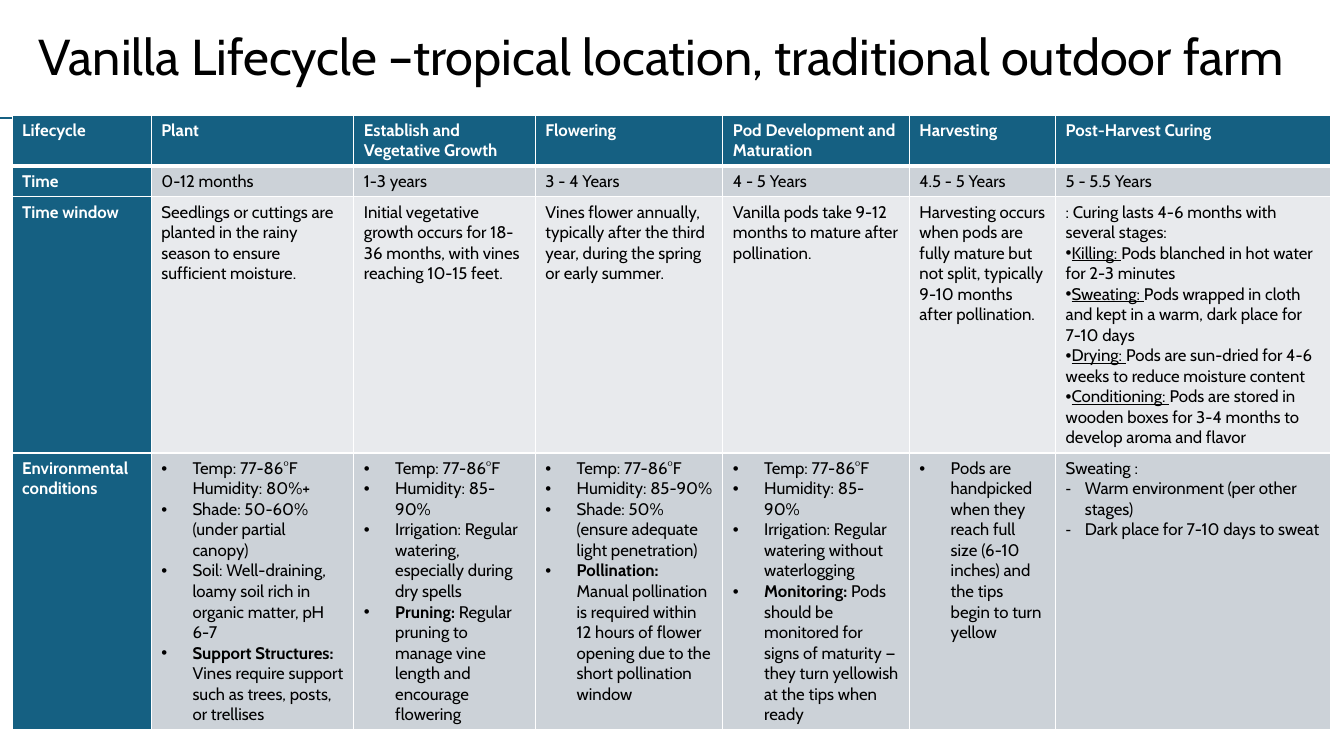
from dataclasses import dataclass
from lxml.etree import SubElement
from pptx import Presentation
from pptx.dml.color import RGBColor
from pptx.enum.shapes import MSO_CONNECTOR
from pptx.enum.text import MSO_ANCHOR, MSO_AUTO_SIZE, PP_ALIGN
from pptx.oxml.ns import qn
from pptx.util import Inches, Pt

HUES = {"teal": "156082", "dark": "CCD2D8", "light": "E8EAED", "white": "FFFFFF", "black": "000000"}
FONT = "Cabin"


@dataclass
class Item:
    text: str
    lead: str = ""
    mark: str = ""
    dent: float = 0
    bold: bool = False
    line: bool = False


@dataclass
class Row:
    height: float
    fill: str
    head: str
    cells: list


def dot(text: str, lead: str = "") -> Item:
    return Item(text, lead, "•", 0.31, bold=True)


def stage(lead: str, text: str) -> Item:
    return Item(text, lead, "•", line=True)


def dash(text: str) -> Item:
    return Item(text, mark="-", dent=0.19)


WIDTHS = [1.38, 2.01, 1.8, 1.86, 1.85, 1.45, 2.73]
ROWS = [
    Row(0.45, "teal", "Lifecycle", [
        "Plant", "Establish and Vegetative Growth", "Flowering",
        "Pod Development and Maturation", "Harvesting", "Post-Harvest Curing"]),
    Row(0.27, "dark", "Time", [
        "0-12 months", "1-3 years", "3 - 4 Years", "4 - 5 Years", "4.5 - 5 Years", "5 - 5.5 Years"]),
    Row(2.26, "light", "Time window", [
        "Seedlings or cuttings are planted in the rainy season to ensure sufficient moisture.",
        "Initial vegetative growth occurs for 18-36 months, with vines reaching 10-15 feet.",
        "Vines flower annually, typically after the third year, during the spring or early summer.",
        "Vanilla pods take 9-12 months to mature after pollination.",
        "Harvesting occurs when pods are fully mature but not split, typically 9-10 months after pollination.",
        [Item(": Curing lasts 4-6 months with several stages:"),
         stage("Killing: ", "Pods blanched in hot water for 2-3 minutes"),
         stage("Sweating: ", "Pods wrapped in cloth and kept in a warm, dark place for 7-10 days"),
         stage("Drying: ", "Pods are sun-dried for 4-6 weeks to reduce moisture content"),
         stage("Conditioning: ",
               "Pods are stored in wooden boxes for 3-4 months to develop aroma and flavor")]]),
    Row(2.44, "dark", "Environmental conditions", [
        [dot("Temp: 77-86°F Humidity: 80%+"),
         dot("Shade: 50-60% (under partial canopy)"),
         dot("Soil: Well-draining, loamy soil rich in organic matter, pH 6-7"),
         dot("Vines require support such as trees, posts, or trellises", "Support Structures: ")],
        [dot("Temp: 77-86°F"),
         dot("Humidity: 85-90%"),
         dot("Irrigation: Regular watering, especially during dry spells"),
         dot("Regular pruning to manage vine length and encourage flowering", "Pruning: ")],
        [dot("Temp: 77-86°F"),
         dot("Humidity: 85-90%"),
         dot("Shade: 50% (ensure adequate light penetration)"),
         dot("Manual pollination is required within 12 hours of flower opening "
             "due to the short pollination window", "Pollination: ")],
        [dot("Temp: 77-86°F"),
         dot("Humidity: 85-90%"),
         dot("Irrigation: Regular watering without waterlogging"),
         dot("Pods should be monitored for signs of maturity — "
             "they turn yellowish at the tips when ready", "Monitoring: ")],
        [dot("Pods are handpicked when they reach full size (6-10 inches) "
             "and the tips begin to turn yellow")],
        [Item("Sweating :"),
         dash("Warm environment (per other stages)"),
         dash("Dark place for 7-10 days to sweat")]]),
]


def tint(name: str) -> RGBColor:
    return RGBColor.from_string(HUES[name])


def write(para, text: str, *, size: float = 12, hue: str = "black",
          bold: bool = False, line: bool = False) -> None:
    run = para.add_run()
    run.text = text
    font = run.font
    font.name, font.size = FONT, Pt(size)
    font.bold, font.underline = bold, line
    font.color.rgb = tint(hue)


def bullet(para, mark: str, dent: float) -> None:
    props = para._p.get_or_add_pPr()
    props.set("marL", str(Inches(dent)))
    props.set("indent", str(-Inches(dent)))
    SubElement(props, qn("a:buFont"), typeface="Arial")
    SubElement(props, qn("a:buChar"), char=mark)


def border(cell, base: float) -> None:
    props = cell._tc.get_or_add_tcPr()
    for side, width in (("L", 1), ("R", 1), ("T", 1), ("B", base)):
        edge = SubElement(props, qn(f"a:ln{side}"), w=str(Pt(width)))
        fill = SubElement(edge, qn("a:solidFill"))
        SubElement(fill, qn("a:srgbClr"), val=HUES["white"])


def fill_cell(cell, items: list[Item], hue: str, base: float, head: bool) -> None:
    border(cell, base)
    cell.fill.solid()
    cell.fill.fore_color.rgb = tint(hue)
    ink = "white" if head else "black"
    frame = cell.text_frame
    for i, item in enumerate(items):
        para = frame.add_paragraph() if i else frame.paragraphs[0]
        if item.mark:
            bullet(para, item.mark, item.dent)
        if item.lead:
            write(para, item.lead, hue=ink, bold=item.bold, line=item.line)
        write(para, item.text, hue=ink, bold=head)


def add_rule(slide) -> None:
    rule = slide.shapes.add_connector(
        MSO_CONNECTOR.STRAIGHT, Inches(0), Inches(1.17), Inches(12.07), Inches(1.17))
    rule.line.color.rgb = tint("teal")
    rule.line.width = Pt(1.5)
    SubElement(rule._element.spPr, qn("a:effectLst"))


def add_title(slide) -> None:
    title = slide.shapes.title
    title.left, title.top = Inches(0.28), Inches(-0.14)
    title.width, title.height = Inches(13.15), Inches(1.45)
    frame = title.text_frame
    frame.word_wrap = True
    frame.auto_size = MSO_AUTO_SIZE.NONE
    frame.vertical_anchor = MSO_ANCHOR.MIDDLE
    para = frame.paragraphs[0]
    para.alignment = PP_ALIGN.LEFT
    para.line_spacing = 0.9
    write(para, "Vanilla Lifecycle –tropical location, traditional outdoor farm", size=36)


def add_grid(slide) -> None:
    table = slide.shapes.add_table(
        len(ROWS), len(WIDTHS), Inches(0.12), Inches(1.14),
        Inches(sum(WIDTHS)), Inches(sum(row.height for row in ROWS))).table
    table.horz_banding = False
    for col, width in zip(table.columns, WIDTHS):
        col.width = Inches(width)
    for r, row in enumerate(ROWS):
        table.rows[r].height = Inches(row.height)
        for c, value in enumerate([row.head, *row.cells]):
            items = [Item(value)] if isinstance(value, str) else value
            hue = row.fill if c else "teal"
            fill_cell(table.cell(r, c), items, hue, 1 if r else 3, r == 0 or c == 0)


def main() -> None:
    deck = Presentation()
    deck.slide_width, deck.slide_height = Inches(13.33), Inches(7.5)
    slide = deck.slides.add_slide(deck.slide_layouts[5])
    add_rule(slide)
    add_title(slide)
    add_grid(slide)
    deck.save("out.pptx")


if __name__ == "__main__":
    main()
